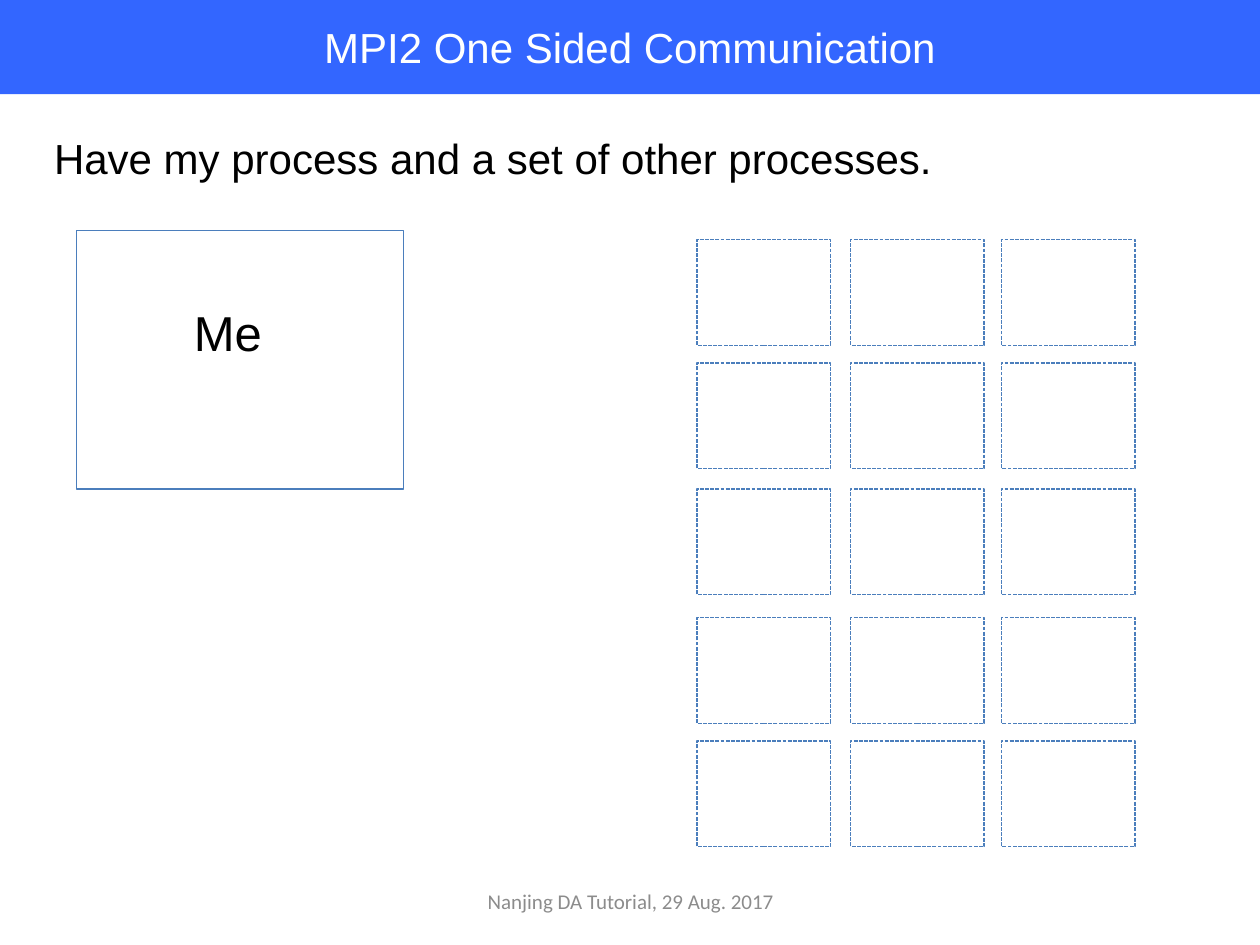
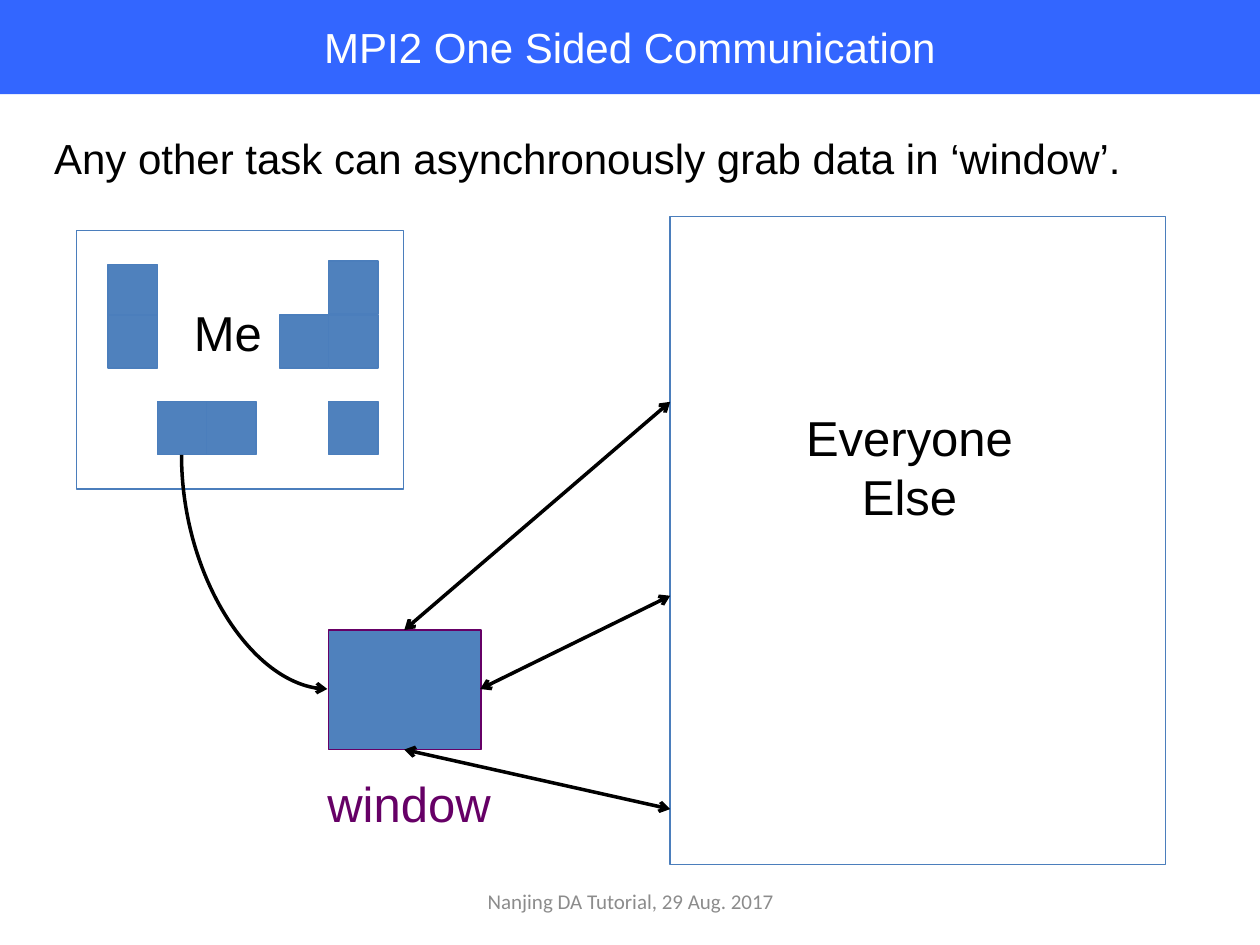
from dataclasses import dataclass

from pptx import Presentation
from pptx import util as u
from pptx.dml.color import RGBColor
from pptx.enum import dml, shapes, text
from pptx.oxml.ns import qn
from lxml import etree


@dataclass(frozen=True)
class Theme:
    band: RGBColor = RGBColor(0x33, 0x66, 0xFF)
    white: RGBColor = RGBColor(0xFF, 0xFF, 0xFF)
    ink: RGBColor = RGBColor(0, 0, 0)
    outline: RGBColor = RGBColor(0x4B, 0x7E, 0xBC)
    data: RGBColor = RGBColor(0x4F, 0x81, 0xBD)
    window: RGBColor = RGBColor(0x66, 0, 0x66)
    footer: RGBColor = RGBColor(0x8C, 0x8C, 0x8C)
    font: str = "Arial"
    footer_font: str = "Calibri"
    heading_size: u.Pt = u.Pt(24)
    label_size: u.Pt = u.Pt(28)
    footer_size: u.Pt = u.Pt(12)
    thin: u.Pt = u.Pt(0.75)
    thick: u.Pt = u.Pt(2)


theme = Theme()


def add_box(parent, frame, fill=None, line=theme.outline):
    box = parent.shapes.add_shape(shapes.MSO_SHAPE.RECTANGLE, *map(u.Cm, frame))
    box.shadow.inherit = False
    if fill is None:
        box.fill.background()
    else:
        box.fill.solid()
        box.fill.fore_color.rgb = fill
    box.line.color.rgb = line
    box.line.width = theme.thin
    return box


def write(holder, words, size, color, align=text.PP_ALIGN.LEFT,
          anchor=text.MSO_ANCHOR.TOP, font=theme.font):
    frame = holder.text_frame
    frame.word_wrap = True
    frame.auto_size = text.MSO_AUTO_SIZE.NONE
    frame.vertical_anchor = anchor
    frame.text = words
    paragraph = frame.paragraphs[0]
    paragraph.alignment = align
    paragraph.font.name = font
    paragraph.font.size = size
    paragraph.font.color.rgb = color


deck = Presentation()
deck.slide_width, deck.slide_height = u.Cm(25.4), u.Cm(19.05)
center, middle = text.PP_ALIGN.CENTER, text.MSO_ANCHOR.MIDDLE
me_frame = (1.55, 4.65, 6.58, 5.21)

statements = (
    "Have my process and a set of other processes.",
    "Any other task can asynchronously grab data in ‘window’.",
)
slides = []
for statement in statements:
    slide = deck.slides.add_slide(deck.slide_layouts[5])
    slides.append(slide)

    heading = slide.shapes.title
    heading.left, heading.top = u.Cm(0), u.Cm(0)
    heading.width, heading.height = deck.slide_width, u.Cm(1.9)
    heading.fill.solid()
    heading.fill.fore_color.rgb = theme.band
    write(heading, "MPI2 One Sided Communication", theme.heading_size,
          theme.white, center, middle)

    sentence = slide.shapes.add_textbox(*map(u.Cm, (0.84, 2.54, 23.5, 1.27)))
    write(sentence, statement, theme.heading_size, theme.ink)

    footer = slide.shapes.add_textbox(*map(u.Cm, (8.69, 17.65, 8.05, 1.02)))
    write(footer, "Nanjing DA Tutorial, 29 Aug. 2017", theme.footer_size,
          theme.footer, center, middle, theme.footer_font)

processes, sharing = slides

add_box(processes, me_frame)
others = processes.shapes.add_group_shape()
for left in (14.05, 17.15, 20.19):
    for top in (4.83, 7.32, 9.86, 12.45, 14.94):
        process = add_box(others, (left, top, 2.69, 2.13))
        process.line.dash_style = dml.MSO_LINE.SQUARE_DOT

add_box(sharing, (13.51, 4.37, 9.98, 13.06))
my_memory = sharing.shapes.add_group_shape()
add_box(my_memory, me_frame)
for left, top in ((5.64, 6.35), (6.63, 6.35), (6.63, 5.26), (2.18, 5.33),
                  (2.18, 6.35), (6.63, 8.1), (3.18, 8.1), (4.17, 8.1)):
    add_box(my_memory, (left, top, 0.99, 1.07), theme.data)
add_box(sharing, (6.63, 12.7, 3.07, 2.41), theme.data, theme.window)

straight, curve = shapes.MSO_CONNECTOR.STRAIGHT, shapes.MSO_CONNECTOR.CURVE
for route, ends, arrow_ends in (
    (curve, (7.49, 10.06, 2.77, 13), ("tailEnd",)),
    (straight, (8.15, 12.7, 13.51, 8.1), ("headEnd", "tailEnd")),
    (straight, (9.68, 13.89, 13.51, 12.01), ("headEnd", "tailEnd")),
    (straight, (8.15, 15.11, 13.51, 16.31), ("headEnd", "tailEnd")),
):
    transfer = sharing.shapes.add_connector(route, *map(u.Cm, ends))
    transfer.line.color.rgb = theme.ink
    transfer.line.width = theme.thick
    properties = transfer._element.spPr
    for arrow_end in arrow_ends:
        etree.SubElement(properties.find(qn("a:ln")), qn(f"a:{arrow_end}"), type="arrow")
    etree.SubElement(properties, qn("a:effectLst"))
    if route == curve:
        properties.find(qn("a:xfrm")).set("rot", str(270 * 60000))
        properties.find(qn("a:prstGeom")).set("prst", "curvedConnector2")

for slide, words, frame, color, align in (
    (processes, "Me", (3.66, 5.97, 2.46, 1.45), theme.ink, text.PP_ALIGN.LEFT),
    (sharing, "Me", (3.66, 5.97, 2.46, 1.45), theme.ink, text.PP_ALIGN.LEFT),
    (sharing, "Everyone Else", (15.44, 8.1, 5.79, 2.64), theme.ink, center),
    (sharing, "window", (6.35, 15.47, 3.94, 1.45), theme.window, text.PP_ALIGN.LEFT),
):
    label = slide.shapes.add_textbox(*map(u.Cm, frame))
    write(label, words, theme.label_size, color, align)

deck.save("out.pptx")
